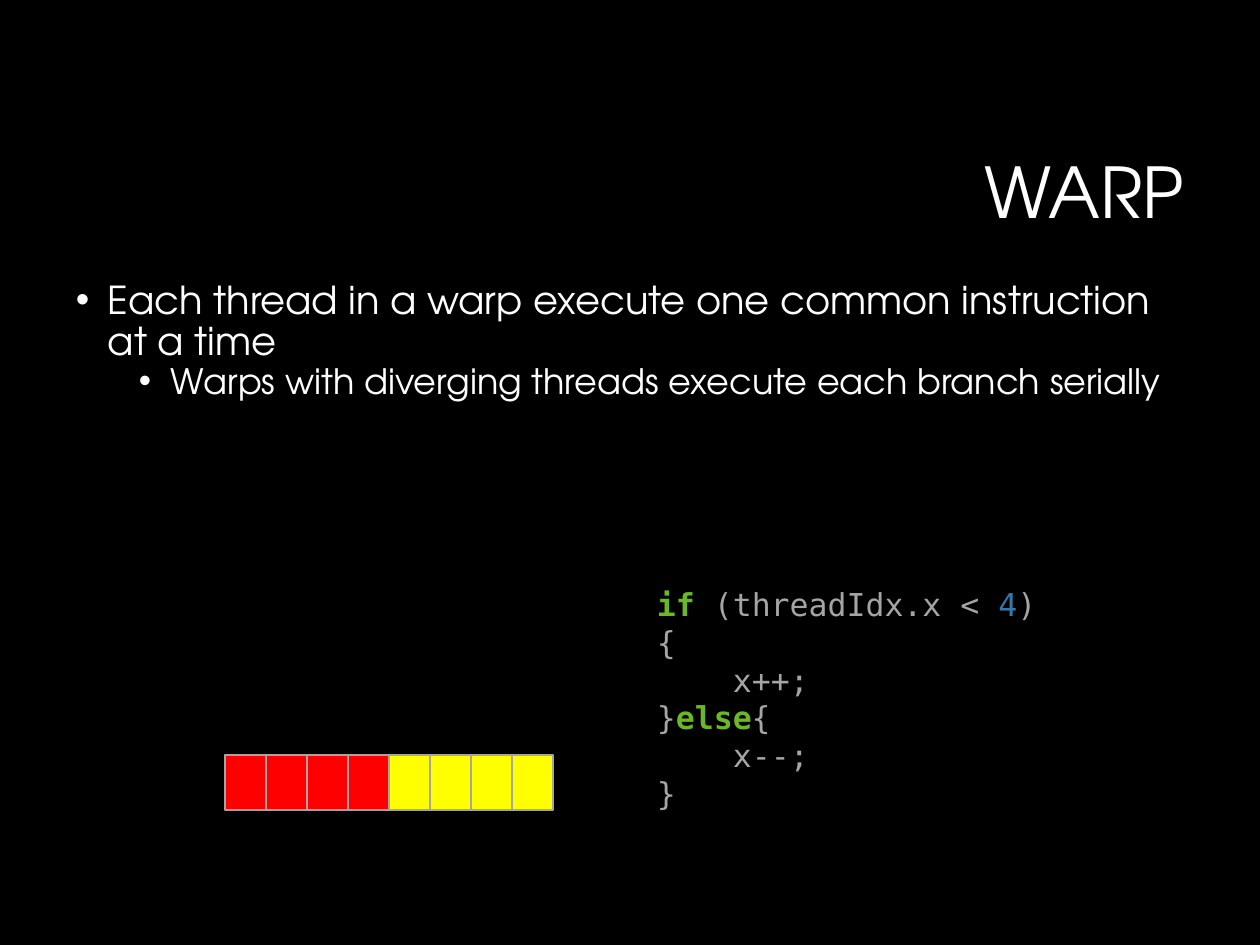
from dataclasses import dataclass

from lxml.etree import SubElement
from pptx import Presentation
from pptx.dml.color import RGBColor
from pptx.enum.shapes import MSO_SHAPE as Preset
from pptx.enum.text import MSO_ANCHOR as Anchor, PP_ALIGN as Align
from pptx.oxml.ns import qn
from pptx.util import Pt

EMU_PER_PX = 914400 / 126
SANS, MONO = "TeX Gyre Adventor", "DejaVu Sans Mono"
WHITE, GRAY, GREEN, BLUE = "FFFFFF", "A5A5A5", "6AB825", "3677A9"
RED, YELLOW, BLACK = "FF0000", "FFFF00", "000000"


@dataclass
class Span:
    text: str
    color: str = WHITE
    bold: bool = False


@dataclass
class Line:
    spans: list[Span]
    size: int
    font: str = SANS
    align: Align = Align.LEFT
    spacing: float = 0.9
    level: int = 0
    margin: int = 0
    bullet: bool = False


@dataclass
class TextBlock:
    left: int
    top: int
    width: int
    height: int
    anchor: Anchor
    lines: list[Line]


def px(length: int) -> int:
    return round(length * EMU_PER_PX)


def color(value: str) -> RGBColor:
    return RGBColor.from_string(value)


def apply_format(target, values: dict) -> None:
    for name, value in values.items():
        setattr(target, name, value)


def write_line(paragraph, line: Line) -> None:
    apply_format(paragraph, {
        "alignment": line.align, "line_spacing": line.spacing,
        "level": line.level, "space_before": Pt(0), "space_after": Pt(0),
    })
    properties = paragraph._p.get_or_add_pPr()
    properties.set("marL", str(px(line.margin)))
    properties.set("indent", str(px(-32 if line.bullet else 0)))
    if line.bullet:
        SubElement(properties, qn("a:buFont"), typeface="Arial")
        SubElement(properties, qn("a:buChar"), char="•")
    for span in line.spans:
        run = paragraph.add_run()
        run.text = span.text
        apply_format(run.font, {
            "name": line.font, "size": Pt(line.size), "bold": span.bold,
        })
        run.font.color.rgb = color(span.color)


def draw_text(slide, block: TextBlock) -> None:
    shape = slide.shapes.add_textbox(
        px(block.left), px(block.top), px(block.width), px(block.height))
    frame = shape.text_frame
    inset = px(13)
    apply_format(frame, {
        "word_wrap": True, "vertical_anchor": block.anchor,
        "margin_left": inset, "margin_right": inset,
        "margin_top": inset, "margin_bottom": inset,
    })
    for index, line in enumerate(block.lines):
        paragraph = frame.add_paragraph() if index else frame.paragraphs[0]
        write_line(paragraph, line)


def draw_thread(slide, left: int, fill: str) -> None:
    shape = slide.shapes.add_shape(
        Preset.RECTANGLE, px(left), px(755), px(41), px(55))
    shape.shadow.inherit = False
    shape.fill.solid()
    shape.fill.fore_color.rgb = color(fill)
    shape.line.color.rgb = color(GRAY)
    shape.line.width = Pt(1.5)


def code_line(*spans: Span, margin: int = 0) -> Line:
    return Line(list(spans), 18, MONO, spacing=1.0, margin=margin)


TITLE = TextBlock(63, 38, 1134, 209, Anchor.BOTTOM, [
    Line([Span("WARP")], 40, align=Align.RIGHT),
])
BODY = TextBlock(63, 268, 1134, 636, Anchor.TOP, [
    Line([Span("Each thread in a warp execute one common instruction at a time")],
         22, margin=32, bullet=True),
    Line([Span("Warps with diverging threads execute each branch serially")],
         20, level=1, margin=95, bullet=True),
])
CODE = TextBlock(644, 571, 413, 255, Anchor.MIDDLE, [
    code_line(Span("if ", GREEN, True), Span("(threadIdx.x < ", GRAY),
              Span("4", BLUE), Span(")", GRAY)),
    code_line(Span("{", GRAY)),
    code_line(Span("x++;", GRAY), margin=76),
    code_line(Span("}", GRAY), Span("else", GREEN, True), Span("{", GRAY)),
    code_line(Span("x--;", GRAY), margin=76),
    code_line(Span("}", GRAY)),
])
THREAD_FILLS = [RED] * 4 + [YELLOW] * 4


def main() -> None:
    presentation = Presentation()
    apply_format(presentation, {"slide_width": px(1260), "slide_height": px(945)})
    slide = presentation.slides.add_slide(presentation.slide_layouts[6])
    background = slide.background.fill
    background.solid()
    background.fore_color.rgb = color(BLACK)

    # Title, bullets and branching code
    for block in (TITLE, BODY, CODE):
        draw_text(slide, block)

    # Threads of the warp, coloured by branch
    for index, fill in enumerate(THREAD_FILLS):
        draw_thread(slide, 225 + 41 * index, fill)

    presentation.save("out.pptx")


if __name__ == "__main__":
    main()
